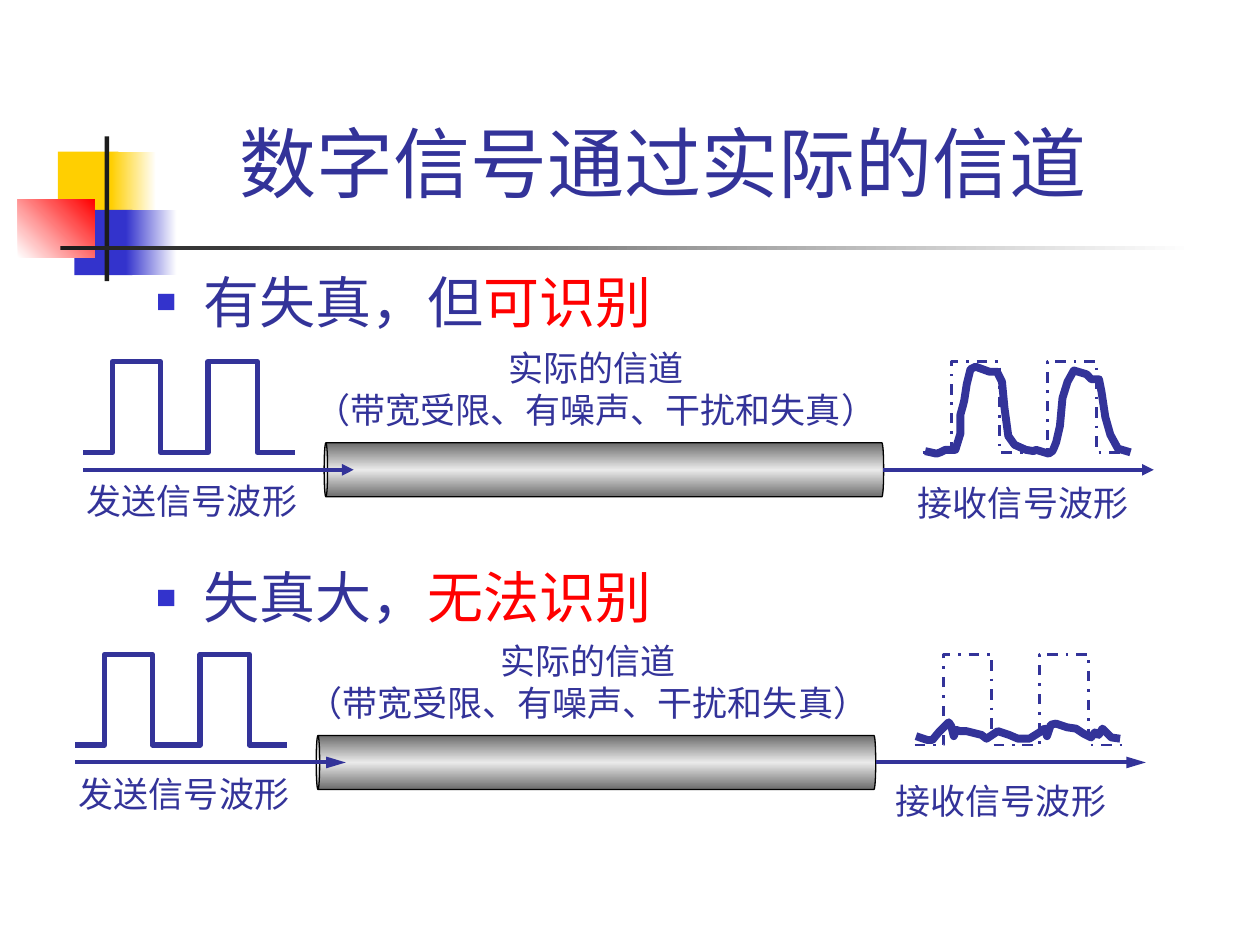
from dataclasses import dataclass
from lxml import etree
from pptx import Presentation
from pptx.dml.color import RGBColor
from pptx.enum.dml import MSO_LINE
from pptx.enum.shapes import MSO_CONNECTOR, MSO_SHAPE
from pptx.enum.text import MSO_ANCHOR, PP_ALIGN
from pptx.oxml.ns import qn
from pptx.util import Cm, Pt

RECT, CAN = MSO_SHAPE.RECTANGLE, MSO_SHAPE.CAN
STRAIGHT, DASH_DOT = MSO_CONNECTOR.STRAIGHT, MSO_LINE.DASH_DOT
LEFT, CENTER = PP_ALIGN.LEFT, PP_ALIGN.CENTER
TOP, BOTTOM = MSO_ANCHOR.TOP, MSO_ANCHOR.BOTTOM


@dataclass(frozen=True)
class Theme:
    """Colours, fonts and type sizes of the deck."""
    ink: str = "333399"
    blue: str = "3333CC"
    yellow: str = "FFCF01"
    red: str = "FF0000"
    dark: str = "1C1C1C"
    white: str = "FFFFFF"
    black: str = "000000"
    steel: str = "6C6C6C"
    shine: str = "EAEAEA"
    head_font: str = "Arial"
    note_font: str = "Times New Roman"
    label_font: str = "Noto Sans CJK SC"
    title: int = 44
    body: int = 32
    label: int = 20


T = Theme()
UNIT = Cm(0.0254)
PULSE = [(0, 72), (23, 72), (23, 0), (61, 0), (61, 72), (99, 72),
         (99, 0), (138, 0), (138, 72), (168, 72)]
CLEAR_WAVE = [
    (2, 71), (11, 73), (14, 72), (18, 70), (26, 70), (30, 57), (30, 42),
    (32, 35), (33, 31), (35, 18), (38, 6), (42, 4), (53, 8), (59, 8),
    (63, 16), (65, 37), (68, 59), (73, 66), (82, 70), (88, 71), (90, 70),
    (100, 73), (103, 71), (104, 69), (106, 64), (109, 51), (111, 29),
    (115, 16), (120, 7), (130, 10), (134, 14), (140, 14), (142, 24),
    (145, 44), (149, 58), (155, 69), (165, 72)]
LOST_WAVE = [
    (1, 65), (10, 68), (14, 68), (19, 62), (27, 54), (29, 57), (31, 65),
    (33, 60), (36, 61), (41, 61), (53, 64), (57, 67), (66, 61), (75, 64),
    (82, 67), (91, 67), (99, 62), (103, 59), (105, 65), (108, 56),
    (112, 55), (121, 58), (128, 59), (134, 63), (140, 66), (143, 62),
    (146, 64), (149, 59), (156, 66), (163, 67)]


def set_all(obj, fmt):
    """Set each attribute of a dict on an object."""
    for name, value in fmt.items():
        setattr(obj, name, value)


def stroke(line, color, width, dash=None):
    """Give a line its colour, width in points and dash."""
    line.color.rgb = RGBColor.from_string(color)
    set_all(line, {"width": Pt(width), "dash_style": dash})


def add_block(s, kind, box, colors, angle=0):
    """Add a preset shape with a plain fill or an even gradient."""
    sp = s.shapes.add_shape(kind, *map(Cm, box))
    sp.shadow.inherit = False
    sp.line.fill.background()
    if len(colors) == 1:
        sp.fill.solid()
        sp.fill.fore_color.rgb = RGBColor.from_string(colors[0])
        return sp
    sp.fill.gradient()
    sp.fill.gradient_angle = angle
    stops = sp.element.spPr.find(qn("a:gradFill")).find(qn("a:gsLst"))
    for gs in list(stops):
        stops.remove(gs)
    for i, color in enumerate(colors):
        pos = str(100000 * i // (len(colors) - 1))
        gs = etree.SubElement(stops, qn("a:gs"), pos=pos)
        etree.SubElement(gs, qn("a:srgbClr"), val=color)
    return sp


def add_text(s, box, lines, font, size, align=LEFT, anchor=TOP):
    """Add a text box whose lines are lists of (text, colour) runs."""
    tf = s.shapes.add_textbox(*map(Cm, box)).text_frame
    set_all(tf, {"word_wrap": True, "vertical_anchor": anchor})
    for i, runs in enumerate(lines):
        p = tf.add_paragraph() if i else tf.paragraphs[0]
        p.alignment = align
        for text, color in runs:
            r = p.add_run()
            r.text = text
            set_all(r.font, {"name": font, "size": Pt(size)})
            r.font.color.rgb = RGBColor.from_string(color)
    return tf


def add_trace(s, x, y, points, width, dash=None):
    """Draw an open signal trace from its top left corner."""
    start, *rest = [(Cm(x) + px * UNIT, Cm(y) + py * UNIT) for px, py in points]
    fb = s.shapes.build_freeform(*start)
    fb.add_line_segments(rest, close=False)
    sp = fb.convert_to_shape()
    sp.shadow.inherit = False
    sp.fill.background()
    stroke(sp.line, T.ink, width, dash)


def add_arrow(s, x, y, length, head):
    """Draw a horizontal arrow to the right."""
    c = s.shapes.add_connector(STRAIGHT, Cm(x), Cm(y), Cm(x + length), Cm(y))
    stroke(c.line, T.ink, 2.25)
    spPr = c.element.spPr
    etree.SubElement(spPr.find(qn("a:ln")), qn("a:tailEnd"),
                     type="triangle", w="med", len=head)
    etree.SubElement(spPr, qn("a:effectLst"))


def add_ornament(s, x, y):
    """Place the coloured squares and the cross lines."""
    for dx, dy, w, h, colors, angle in (
            (0.81, 0.31, 1.22, 1.32, [T.yellow], 0),
            (1.88, 0.31, 0.91, 1.32, [T.yellow, T.white], 0),
            (1.14, 1.48, 1.17, 1.32, [T.blue], 0),
            (2.18, 1.48, 1.02, 1.32, [T.blue, T.white], 0),
            (0, 1.27, 1.55, 1.17, [T.white, T.red], 45),
            (1.75, 0, 0.09, 2.92, [T.dark], 0),
            (0.86, 2.2, 22.86, 0.09, [T.dark, T.white], 0)):
        add_block(s, RECT, (x + dx, y + dy, w, h), colors, angle)


def add_point(s, box, plain, stressed):
    """Place a bulleted statement with its stressed ending."""
    tf = add_text(s, box, [[(plain, T.ink), (stressed, T.red)]],
                  T.head_font, T.body)
    p = tf.paragraphs[0]
    p.line_spacing = 1.1
    pPr = p._p.get_or_add_pPr()
    pPr.set("marL", str(Cm(0.95)))
    pPr.set("indent", str(-Cm(0.95)))
    color = etree.SubElement(pPr, qn("a:buClr"))
    etree.SubElement(color, qn("a:srgbClr"), val=T.blue)
    etree.SubElement(pPr, qn("a:buSzPct"), val="60000")
    etree.SubElement(pPr, qn("a:buFont"), typeface=T.head_font)
    etree.SubElement(pPr, qn("a:buChar"), char="■")


def add_channel(s, x, y, wave, head, received):
    """Place a sent pulse, the channel and the received wave."""
    axis = y + 2.18
    pipe = add_block(s, CAN, (x + 9.95, axis - 5.64, 1.09, 11.28),
                     [T.steel, T.shine, T.steel])
    pipe.rotation = 270
    pipe.adjustments[0] = 0.065
    stroke(pipe.line, T.black, 0.75)
    add_trace(s, x, y, PULSE, 3)
    add_trace(s, x + 16.92, y, PULSE, 1.5, DASH_DOT)
    add_trace(s, x + 16.92, y, wave, 4.5)
    for start in (0, 16.13):
        add_arrow(s, x + start, axis, 5.45, head)
    add_text(s, (x + 3.33, y - 0.43, 14, 1.96),
             [[("实际的信道", T.ink)], [("（带宽受限、有噪声、干扰和失真）", T.ink)]],
             T.note_font, T.label, CENTER)
    add_text(s, (x - 0.18, y + 2.26, 5.2, 1.12), [[("发送信号波形", T.ink)]],
             T.label_font, T.label)
    dx, dy, w = received
    add_text(s, (x + dx, y + dy, w, 1.12), [[("接收信号波形", T.ink)]],
             T.label_font, T.label, CENTER)


def main():
    """Build the slide and save it."""
    prs = Presentation()
    set_all(prs, {"slide_width": Cm(25.4), "slide_height": Cm(19.05)})
    s = prs.slides.add_slide(prs.slide_layouts[6])
    add_ornament(s, 0.36, 2.75)
    add_text(s, (3.2, 0.58, 20.7, 3.73), [[("数字信号通过实际的信道 ", T.ink)]],
             T.head_font, T.title, CENTER, BOTTOM)
    add_point(s, (2.9, 5.13, 21.59, 1.9), "有失真，但", "可识别")
    add_point(s, (2.9, 11.09, 21.59, 1.9), "失真大，", "无法识别")
    add_channel(s, 1.68, 7.29, CLEAR_WAVE, "med", (16.28, 2.29, 5.33))
    add_channel(s, 1.52, 13.19, LOST_WAVE, "lg", (16.08, 2.39, 5.16))
    prs.save("out.pptx")


if __name__ == "__main__":
    main()
